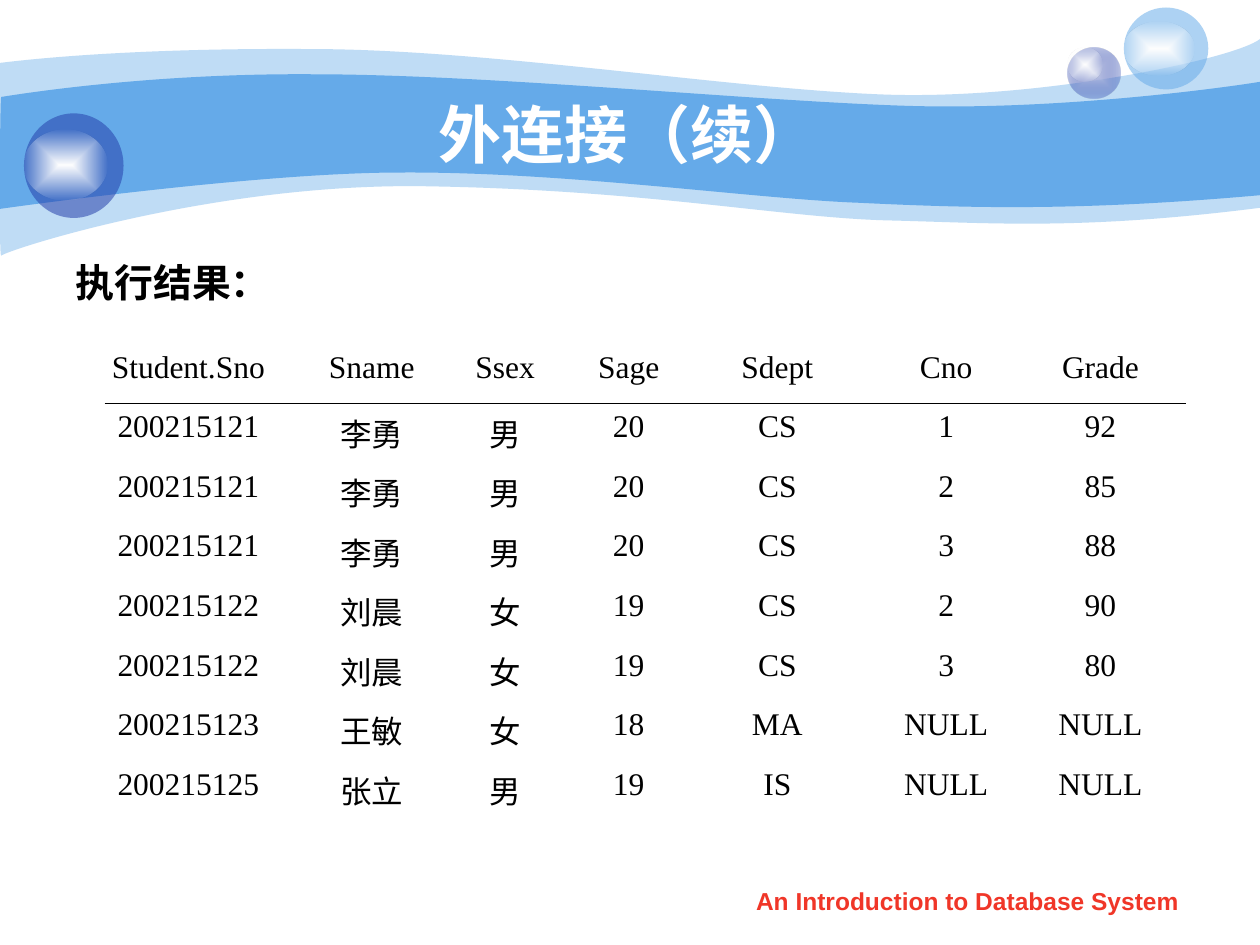
from pptx import Presentation
from pptx.dml.color import RGBColor
from pptx.enum import shapes, text
from pptx.oxml import parse_xml
from pptx.oxml.ns import nsdecls, qn
from pptx.util import Inches, Pt

SKY = RGBColor(0x65, 0xAA, 0xE9)
NAVY = RGBColor(0x23, 0x3D, 0xA9)
LAVENDER = RGBColor(0xC6, 0xCC, 0xE8)
WHITE = RGBColor(0xFF, 0xFF, 0xFF)
OFF_WHITE = RGBColor(0xFE, 0xFE, 0xFE)
BLACK = RGBColor(0, 0, 0)
RED = RGBColor(0xF0, 0x36, 0x28)

CENTER = text.PP_ALIGN.CENTER
NO_STYLE_NO_GRID = "{2D5ABB26-0587-4C30-8999-92F81FD0307C}"

# Each wave: a start point, then cubic segments (two controls and an end)
OUTER_WAVE = [
    (0, 0.5),
    (0.24, 0.47), (1.07, 0.38), (2.47, 0.39),
    (3.86, 0.39), (5.75, 0.7), (6.99, 0.75),
    (8.22, 0.8), (9.8, 0.47), (10, 0.31),
    (10, 0.31), (10, 1.65), (10, 1.65),
    (8.58, 1.83), (7.87, 1.77), (7.05, 1.75),
    (6.22, 1.73), (5.15, 1.51), (3.43, 1.48),
    (1.72, 1.44), (0.04, 1.99), (0.01, 2.03),
    (-0.01, 2.08), (0, 0.75), (0, 0.5),
]
INNER_WAVE = [
    (0.01, 0.77),
    (0.02, 0.77), (1.1, 0.58), (2.48, 0.59),
    (3.86, 0.59), (5.95, 0.8), (7.18, 0.84),
    (8.41, 0.88), (9.76, 0.69), (10, 0.65),
    (10, 0.65), (10, 1.55), (10, 1.55),
    (8.53, 1.68), (7.65, 1.65), (6.82, 1.61),
    (5.99, 1.58), (4.47, 1.36), (3.17, 1.37),
    (2.03, 1.37), (-0.02, 1.66), (-0.01, 1.66),
    (0, 1.66), (0, 0.77), (0.01, 0.77),
]

HEADER = ["Student.Sno", "Sname", "Ssex", "Sage", "Sdept", "Cno", "Grade"]
RECORDS = [
    ["200215121", "李勇", "男", "20", "CS", "1", "92"],
    ["200215121", "李勇", "男", "20", "CS", "2", "85"],
    ["200215121", "李勇", "男", "20", "CS", "3", "88"],
    ["200215122", "刘晨", "女", "19", "CS", "2", "90"],
    ["200215122", "刘晨", "女", "19", "CS", "3", "80"],
    ["200215123", "王敏", "女", "18", "MA", "NULL", "NULL"],
    ["200215125", "张立", "男", "19", "IS", "NULL", "NULL"],
]
COL_WIDTHS = [1.81, 1.1, 1.02, 0.94, 1.42, 1.26, 1.19]


def write(tf, words, size, color=BLACK, font="Arial", bold=False, align=CENTER):
    p = tf.paragraphs[0]
    p.alignment = align
    r = p.add_run()
    r.text = words
    r.font.size, r.font.name, r.font.bold = Pt(size), font, bold
    r.font.color.rgb = color
    return p


def paint(sp, color, opacity=100):
    sp.shadow.inherit = False
    sp.line.fill.background()
    sp.fill.solid()
    sp.fill.fore_color.rgb = color
    if opacity < 100:
        clr = sp._element.spPr.find(f".//{qn('a:srgbClr')}")
        clr.append(parse_xml(f'<a:alpha {nsdecls("a")} val="{opacity * 1000}"/>'))


def paint_glow(sp, inner, outer, opacity):
    """Fill from the centre out to a partly transparent rim."""
    paint(sp, inner)
    solid = sp._element.spPr.find(qn("a:solidFill"))
    sp._element.spPr.replace(solid, parse_xml(
        f'<a:gradFill {nsdecls("a")} rotWithShape="1"><a:gsLst>'
        f'<a:gs pos="0"><a:srgbClr val="{inner}"/></a:gs>'
        f'<a:gs pos="100000"><a:srgbClr val="{outer}">'
        f'<a:alpha val="{opacity * 1000}"/></a:srgbClr></a:gs></a:gsLst>'
        '<a:path path="rect"><a:fillToRect l="50000" t="50000" r="50000" b="50000"/>'
        '</a:path></a:gradFill>'))


def add_wave(slide, points, opacity):
    pts = [(Inches(x), Inches(y)) for x, y in points]
    fb = slide.shapes.build_freeform(*pts[0])
    fb.add_line_segments(pts[1:], close=True)
    sp = fb.convert_to_shape()
    # Turn every three line segments into one cubic curve
    lines = list(sp._element.iter(qn("a:lnTo")))
    for first, second, third in zip(lines[::3], lines[1::3], lines[2::3]):
        curve = parse_xml(f'<a:cubicBezTo {nsdecls("a")}/>')
        first.addprevious(curve)
        for line in (first, second, third):
            curve.append(line[0])
            line.getparent().remove(line)
    paint(sp, SKY, opacity)


def add_bubble(slide, box, shine_box):
    group = slide.shapes.add_group_shape()
    ball, shine = [
        group.shapes.add_shape(shapes.MSO_SHAPE.OVAL, *map(Inches, b))
        for b in (box, shine_box)]
    paint_glow(shine, WHITE, OFF_WHITE, 0)
    return ball


def add_banner(slide):
    add_wave(slide, OUTER_WAVE, 41)
    add_wave(slide, INNER_WAVE, 100)
    small = add_bubble(slide, (8.47, 0.38, 0.42, 0.4), (8.47, 0.38, 0.28, 0.27))
    paint_glow(small, LAVENDER, NAVY, 31)
    pale = add_bubble(slide, (8.92, 0.06, 0.67, 0.65), (8.92, 0.17, 0.56, 0.43))
    paint(pale, SKY, 53)
    dark = add_bubble(slide, (0.19, 0.9, 0.79, 0.83), (0.19, 1.03, 0.66, 0.56))
    paint(dark, NAVY, 53)


def fill_placeholder(slide, sp, box, words, anchor, **fmt):
    sp.left, sp.top, sp.width, sp.height = map(Inches, box)
    slide.shapes._spTree.append(sp._element)  # bring in front of the banner
    tf = sp.text_frame
    tf.word_wrap, tf.auto_size = True, text.MSO_AUTO_SIZE.NONE
    tf.vertical_anchor = anchor
    return write(tf, words, bold=True, **fmt)


def add_heading(slide, box):
    fill_placeholder(slide, slide.shapes.title, box, "外连接（续） ",
                     text.MSO_ANCHOR.MIDDLE, size=36, color=WHITE)


def add_lead(slide, box):
    p = fill_placeholder(slide, slide.placeholders[1], box, "执行结果：",
                         text.MSO_ANCHOR.TOP, size=22.2,
                         align=text.PP_ALIGN.JUSTIFY)
    p.space_before = Pt(6)
    pPr = p._p.get_or_add_pPr()
    pPr.set("marL", str(Inches(0.38)))
    pPr.set("indent", str(-Inches(0.38)))
    pPr.append(parse_xml(f'<a:buNone {nsdecls("a")}/>'))


def add_results(slide, box):
    rows = [HEADER] + RECORDS
    frame = slide.shapes.add_table(len(rows), len(HEADER), *map(Inches, box))
    table = frame.table
    table.first_row = table.horz_banding = False
    frame._element.find(f".//{qn('a:tableStyleId')}").text = NO_STYLE_NO_GRID
    for col, width in zip(table.columns, COL_WIDTHS):
        col.width = Inches(width)
    for i, row in enumerate(rows):
        for j, value in enumerate(row):
            cell = table.cell(i, j)
            cell.fill.background()
            write(cell.text_frame, value, 18, font="Times New Roman")
    # Rule under the header row
    rule = slide.shapes.add_connector(
        shapes.MSO_CONNECTOR.STRAIGHT,
        Inches(0.83), Inches(3.2), Inches(9.41), Inches(3.2))
    rule.line.color.rgb, rule.line.width = BLACK, Pt(0.75)
    rule._element.spPr.append(parse_xml(f'<a:effectLst {nsdecls("a")}/>'))


def add_footer(slide, box):
    tf = slide.shapes.add_textbox(*map(Inches, box)).text_frame
    tf.word_wrap = True
    write(tf, "An Introduction to Database System", 14, RED, bold=True)


def main():
    prs = Presentation()
    prs.slide_width, prs.slide_height = Inches(10), Inches(7.5)
    slide = prs.slides.add_slide(prs.slide_layouts[1])
    add_banner(slide)
    add_heading(slide, (1, 0.75, 8.08, 0.62))
    add_lead(slide, (0.5, 2, 4.42, 0.49))
    add_results(slide, (0.59, 2.73, 8.75, 3.78))
    add_footer(slide, (5.71, 6.98, 3.94, 0.35))
    prs.save("out.pptx")


if __name__ == "__main__":
    main()
